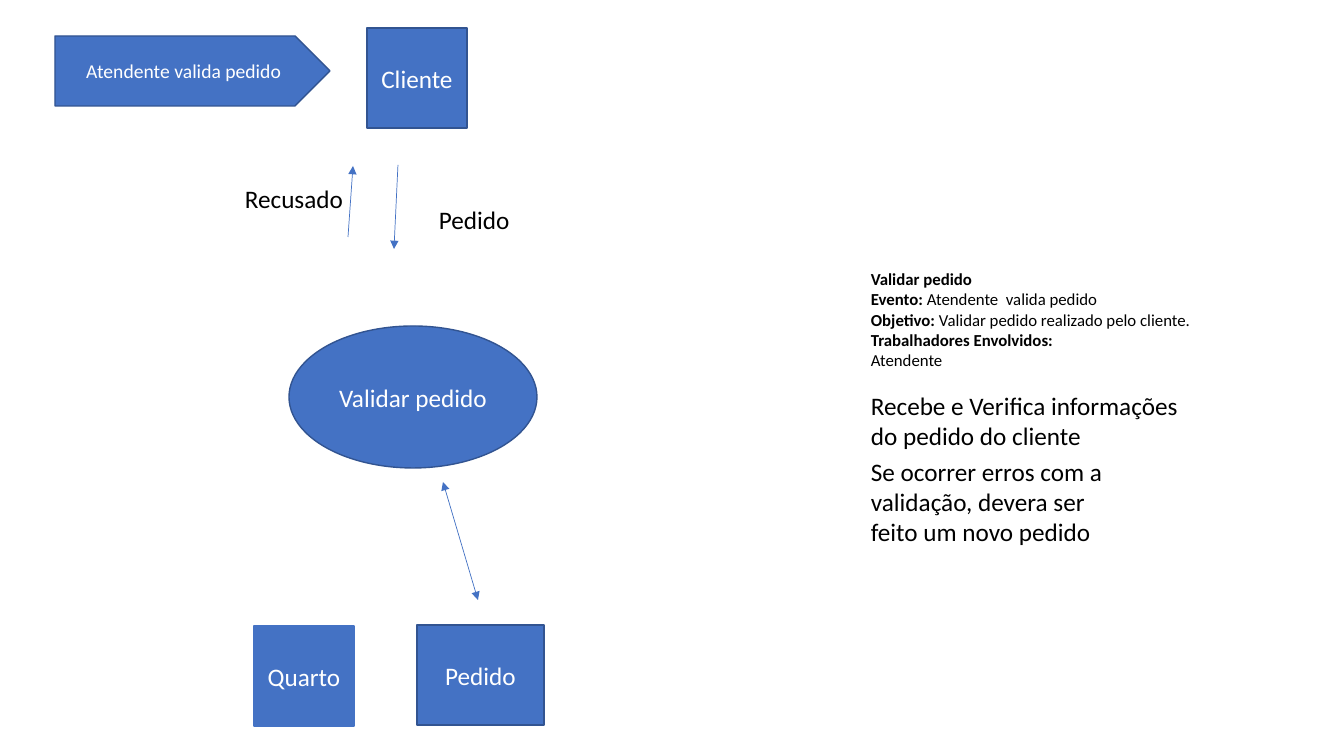
import pptx
import pptx.util
import pptx.dml.color
import pptx.enum.shapes
import pptx.enum.text
import pptx.oxml
import pptx.oxml.ns

SCALE = 914400 / 100.8
FONT = "Calibri"
BLUE, NAVY, WHITE, BLACK = "4472C4", "325491", "FFFFFF", "000000"
KIND = pptx.enum.shapes.MSO_SHAPE
ALIGN = pptx.enum.text.PP_ALIGN

# kind, label, box, text size, outline
NODES = [
    (KIND.RECTANGLE, "Cliente", (367, 28, 100, 100), 18, NAVY),
    (KIND.OVAL, "Validar\u00a0pedido", (289, 326, 248, 142), 18, NAVY),
    (KIND.PENTAGON, "Atendente valida pedido", (55, 36, 275, 70), 14, NAVY),
    (KIND.RECTANGLE, "Quarto", (254, 626, 100, 100), 18, BLUE),
    (KIND.RECTANGLE, "Pedido", (417, 625, 127, 100), 18, NAVY),
]

# start and end points, ends that carry an arrowhead
ARROWS = [
    ((398, 165, 394, 249), ["tailEnd"]),
    ((348, 237, 353, 166), ["tailEnd"]),
    ((443, 482, 478, 600), ["headEnd", "tailEnd"]),
]

NOTES = [
    ("Pedido", (429, 199, 197, 40)),
    ("Recusado", (235, 178, 302, 40)),
    ("Recebe e Verifica informações do pedido do cliente", (861, 385, 342, 72)),
    ("Se ocorrer erros com a validação, devera ser feito\u00a0um novo pedido",
     (861, 451, 302, 102)),
]

# each line: bold part, plain part
DETAIL = [
    ("Validar pedido", ""),
    ("Evento: ", "Atendente \u00a0valida pedido"),
    ("Objetivo:", "\u00a0Validar pedido realizado pelo cliente."),
    ("Trabalhadores Envolvidos:", ""),
    ("", "Atendente"),
]
DETAIL_BOX = (861, 264, 399, 112)


def px(vals):
    """Turn pixels into EMU."""
    return [pptx.util.Emu(round(v * SCALE)) for v in vals]


def rgb(code):
    """Turn a hex string into a colour."""
    return pptx.dml.color.RGBColor.from_string(code)


def put(item, form):
    """Set each attribute named in a dict."""
    for name, value in form.items():
        setattr(item, name, value)


def write(para, text, size, color, bold=False):
    """Add one run to a paragraph."""
    run = para.add_run()
    run.text = text
    put(run.font, {"name": FONT, "size": pptx.util.Pt(size), "bold": bold})
    run.font.color.rgb = rgb(color)


def stroke(line, color, width):
    """Colour a line and set its width."""
    line.color.rgb = rgb(color)
    line.width = pptx.util.Pt(width)


def node(slide, kind, label, box, size, edge):
    """Draw a labelled shape."""
    shape = slide.shapes.add_shape(kind, *px(box))
    shape.shadow.inherit = False
    shape.fill.solid()
    shape.fill.fore_color.rgb = rgb(BLUE)
    stroke(shape.line, edge, 1)
    put(shape.text_frame, {
        "word_wrap": True,
        "vertical_anchor": pptx.enum.text.MSO_ANCHOR.MIDDLE})
    para = shape.text_frame.paragraphs[0]
    para.alignment = ALIGN.CENTER
    write(para, label, size, WHITE)


def arrow(slide, ends, heads):
    """Draw a thin line with arrowheads."""
    link = slide.shapes.add_connector(
        pptx.enum.shapes.MSO_CONNECTOR.STRAIGHT, *px(ends))
    stroke(link.line, BLUE, 0.5)
    make = pptx.oxml.ns.qn
    props = link.line._get_or_add_ln()
    for head in heads:
        tip = props.makeelement(make("a:" + head), {"type": "triangle"})
        props.append(tip)
    parent = props.getparent()
    parent.append(parent.makeelement(make("a:effectLst"), {}))


def frame(slide, box):
    """Add a wrapping text box and return its text frame."""
    area = slide.shapes.add_textbox(*px(box)).text_frame
    put(area, {
        "word_wrap": True,
        "auto_size": pptx.enum.text.MSO_AUTO_SIZE.SHAPE_TO_FIT_TEXT})
    return area


def detail(slide):
    """Write the process description."""
    area = frame(slide, DETAIL_BOX)
    for row, (name, value) in enumerate(DETAIL):
        para = area.add_paragraph() if row else area.paragraphs[0]
        para.alignment = ALIGN.JUSTIFY
        for text, bold in ((name, True), (value, False)):
            if text:
                write(para, text, 12, BLACK, bold)


def main():
    """Build and save the slide."""
    deck = pptx.Presentation()
    wide, high = px((1344, 756))
    put(deck, {"slide_width": wide, "slide_height": high})
    slide = deck.slides.add_slide(deck.slide_layouts[6])
    for item in NODES:
        node(slide, *item)
    for item in ARROWS:
        arrow(slide, *item)
    detail(slide)
    for text, box in NOTES:
        write(frame(slide, box).paragraphs[0], text, 18, BLACK)
    deck.save("out.pptx")


main()
